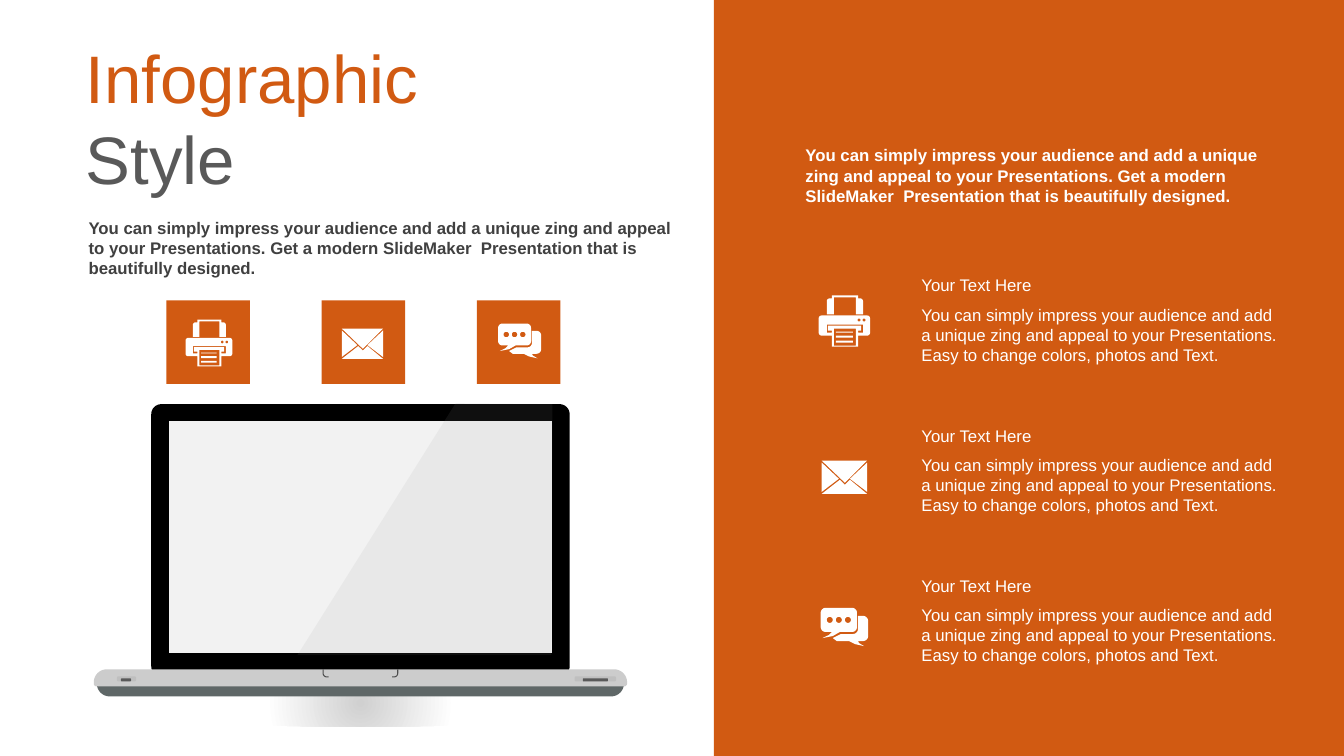
from math import cos, pi, sin

from pptx import Presentation
from pptx import util as u
from pptx.dml.color import RGBColor
from pptx.enum import shapes, text
from pptx.oxml import parse_xml
from pptx.oxml.ns import nsdecls

ORANGE, WHITE = "D15A12", "FFFFFF"
PITCH = "You can simply impress your audience and add a unique zing and appeal to your Presentations. "
INTRO = PITCH + "Get a modern SlideMaker  Presentation that is beautifully designed."
DETAIL = PITCH + "Easy to change colors, photos and Text."


def colour(code):
    return RGBColor.from_string(code)


def box(x1, y1, x2, y2, r=0):
    return [(x1, y1, r), (x2, y1, r), (x2, y2, r), (x1, y2, r)]


def dot(x, y, r):
    return box(x - r, y - r, x + r, y + r, r)


def outline(corners, steps=8):
    points = []
    for i, (x, y, *radius) in enumerate(corners):
        if not radius or not radius[0]:
            points.append((x, y))
            continue
        sides = []
        for nx, ny, *_ in (corners[i - 1], corners[(i + 1) % len(corners)]):
            length = ((nx - x) ** 2 + (ny - y) ** 2) ** 0.5
            sides.append(((nx - x) * radius[0] / length, (ny - y) * radius[0] / length))
        (ax, ay), (bx, by) = sides
        for step in range(steps + 1):
            a, b = 1 - sin(step * pi / 2 / steps), 1 - cos(step * pi / 2 / steps)
            points.append((x + ax * a + bx * b, y + ay * a + by * b))
    return points


PRINTER = [
    box(17, 45, 34, 47), box(17, 40, 34, 42), box(17, 36, 34, 37), box(15, 33, 37, 50),
    [(8, 29), (8, 37), (13, 37), (13, 35), (9, 35), (9, 30),
     (42, 30), (42, 35), (39, 35), (39, 37), (44, 37), (44, 29)],
    dot(45, 24.5, 1.5), dot(40, 24.5, 1.5),
    [(0, 20, 3), (51, 20, 3), (51, 40, 3), (39, 40), (39, 51), (13, 51), (13, 40), (0, 40, 3)],
    [(13, 0), (39, 0), (39, 3), (44, 3, 3), (44, 19), (37, 19), (37, 2),
     (15, 2), (15, 19), (8, 19), (8, 3, 3), (13, 3)],
]
ENVELOPE = [
    [(28, 19), (45, 33), (0, 33), (18, 19), (23, 24)],
    [(45, 2), (45, 31), (28, 18)],
    [(0, 2), (17, 18), (0, 31)],
    [(0, 0), (45, 0), (23, 22)],
]
CHAT = [
    dot(9, 12, 3), dot(18, 12, 3), dot(27, 12, 3),
    [(37, 8), (47, 8, 5), (47, 33, 5), (37, 33), (38, 35), (43, 38), (34, 36),
     (28, 33), (16, 33), (12, 30), (20, 26), (37, 26, 5)],
    [(0, 0, 5), (36, 0, 5), (36, 24, 5), (19, 24), (12, 28), (2, 30), (8, 27),
     (11, 24), (0, 24, 5)],
]


class Board:
    """Draws styled elements on one slide."""

    def __init__(self, slide, font="Arial"):
        self.slide, self.font = slide, font

    def paint(self, shape, fill):
        shape.shadow.inherit = False
        shape.fill.solid()
        shape.fill.fore_color.rgb = colour(fill)
        shape.line.fill.background()
        return shape

    def preset(self, kind, left, top, width, height, fill):
        return self.paint(self.slide.shapes.add_shape(
            kind, u.Inches(left), u.Inches(top), u.Inches(width), u.Inches(height)), fill)

    def draw(self, contours, fill, left=0, top=0, unit=1):
        rings = [[(u.Inches(left + x * unit), u.Inches(top + y * unit))
                  for x, y in outline(corners)] for corners in contours]
        builder = self.slide.shapes.build_freeform(*rings[0][0], scale=1.0)
        for i, points in enumerate(rings):
            if i:
                builder.move_to(*points[0])
            builder.add_line_segments(points[1:], close=True)
        return self.paint(builder.convert_to_shape(), fill)

    def glow(self, left, top, width, height):
        ellipse = self.preset(shapes.MSO_SHAPE.OVAL, left, top, width, height, WHITE)
        properties = ellipse._element.spPr
        solid = properties.find("{*}solidFill")
        stops = "".join(f'<a:gs pos="{pos}"><a:srgbClr val="{code}"/></a:gs>'
                        for pos, code in ((0, "D0D0D0"), (32000, WHITE), (100000, WHITE)))
        properties.replace(solid, parse_xml(
            f'<a:gradFill {nsdecls("a")}><a:gsLst>{stops}</a:gsLst><a:path path="circle">'
            '<a:fillToRect l="50000" t="50000" r="50000" b="50000"/></a:path></a:gradFill>'))

    def fade(self, shape, percent):
        for code in shape._element.xpath(".//a:srgbClr"):
            code.append(parse_xml(f'<a:alpha {nsdecls("a")} val="{percent * 1000}"/>'))

    def label(self, words, left, top, width, height, code, bold=False, middle=False):
        frame = self.slide.shapes.add_textbox(
            u.Inches(left), u.Inches(top), u.Inches(width), u.Inches(height)).text_frame
        frame.word_wrap = True
        if middle:
            frame.vertical_anchor = text.MSO_ANCHOR.MIDDLE
        paragraph = frame.paragraphs[0]
        paragraph.text = words
        font = paragraph.font
        font.name, font.size, font.bold = self.font, u.Pt(12), bold
        font.color.rgb = colour(code)

    def title(self, parts, left, top, width, height):
        heading = self.slide.shapes.title
        heading.left, heading.top = u.Inches(left), u.Inches(top)
        heading.width, heading.height = u.Inches(width), u.Inches(height)
        frame = heading.text_frame
        frame.word_wrap, frame.auto_size = True, text.MSO_AUTO_SIZE.NONE
        frame.vertical_anchor = text.MSO_ANCHOR.TOP
        paragraph = frame.paragraphs[0]
        paragraph.alignment = text.PP_ALIGN.LEFT
        paragraph.font.name, paragraph.font.size = self.font, u.Pt(48)
        for words, code in parts:
            run = paragraph.add_run()
            run.text = words
            run.font.color.rgb = colour(code)

    def laptop(self):
        self.glow(0.67, 6.74, 5.81, 0.47)
        self.draw([[(0.96, 6.78), (6.19, 6.78), (6.19, 6.91, 0.13), (0.96, 6.91, 0.13)]], "5F6767")
        self.draw([box(1.5, 4.01, 5.65, 6.71, 0.1)], "000000")
        self.draw([box(1.68, 4.18, 5.47, 6.48)], "F2F2F2")
        self.draw([[(0.93, 6.64, 0.13), (6.22, 6.64, 0.13), (6.22, 6.81, 0.03),
                    (0.93, 6.81, 0.03)]], "CCCCCC")
        self.draw([[(x, 6.64), (x, 6.72, 0.04), (x + side * 0.06, 6.72),
                    (x + side * 0.06, 6.71), (x + side * 0.01, 6.71, 0.03),
                    (x + side * 0.01, 6.64)] for x, side in ((3.2, 1), (3.95, -1))], "4D4D4D")
        for left, width, height, top, fill in (
                (1.16, 0.19, 0.05, 6.71, "BFBFBF"), (1.2, 0.1, 0.03, 6.73, "595959"),
                (5.7, 0.41, 0.05, 6.71, "BFBFBF"), (5.78, 0.25, 0.03, 6.73, "595959")):
            port = self.preset(shapes.MSO_SHAPE.ROUNDED_RECTANGLE, left, top, width, height, fill)
            port.adjustments[0] = 0.28
        gloss = self.draw([[(4.52, 4), (5.48, 4.01), (5.47, 6.5), (2.95, 6.5)]], "999999")
        self.fade(gloss, 10)


def main():
    deck = Presentation()
    deck.slide_width, deck.slide_height = u.Inches(13.33), u.Inches(7.5)
    board = Board(deck.slides.add_slide(deck.slide_layouts[5]))
    board.title([("Infographic ", ORANGE), ("Style", "595959")], 0.75, 0.31, 3.61, 1.72)
    board.laptop()
    board.preset(shapes.MSO_SHAPE.RECTANGLE, 7.08, 0, 6.25, 7.5, ORANGE)
    board.label(INTRO, 0.78, 2.11, 6.01, 0.71, "404040", bold=True)
    board.label(INTRO, 7.89, 1.39, 4.7, 0.71, WHITE, bold=True)
    topics = [(PRINTER, (1.84, 3.17), (8.12, 2.93)),
              (ENVELOPE, (3.39, 3.26), (8.15, 4.57)),
              (CHAT, (4.94, 3.21), (8.14, 6.03))]
    for i, (icon, tile_spot, list_spot) in enumerate(topics):
        board.preset(shapes.MSO_SHAPE.RECTANGLE, 1.65 + 1.54 * i, 2.98, 0.83, 0.83, ORANGE)
        board.draw(icon, WHITE, *tile_spot, unit=0.91 / 100)
        board.draw(icon, WHITE, *list_spot, unit=0.01)
        top = 2.68 + 1.49 * i
        board.label("Your Text Here", 9.04, top, 3.74, 0.3, WHITE, middle=True)
        board.label(DETAIL, 9.04, top + 0.29, 3.74, 0.71, WHITE)
    deck.save("out.pptx")


if __name__ == "__main__":
    main()
